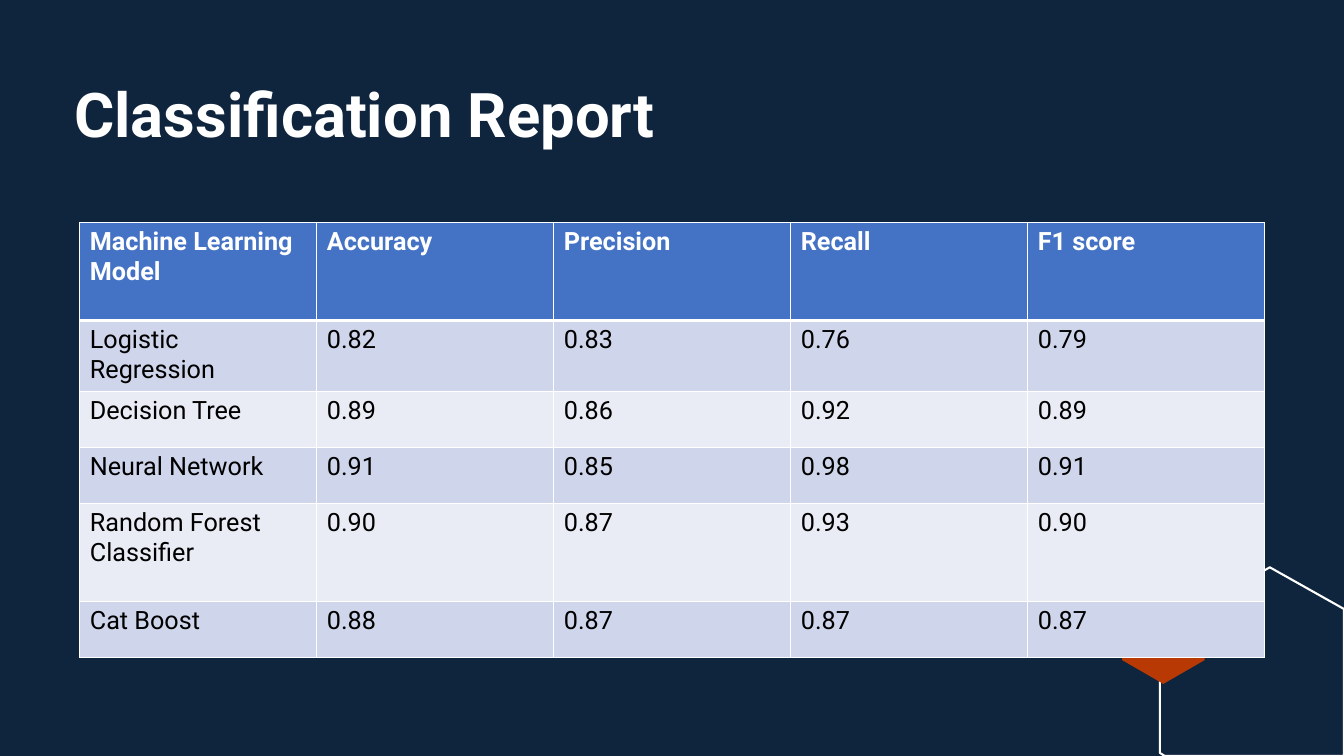
import pptx
import pptx.util
import pptx.dml.color
import pptx.enum.text
import pptx.oxml.ns
import lxml.etree

Pt = pptx.util.Pt
RGBColor = pptx.dml.color.RGBColor

TITLE = "Classification Report"
ROWS = [
    ("Machine Learning Model", "Accuracy", "Precision", "Recall", "F1 score"),
    ("Logistic Regression", "0.82", "0.83", "0.76", "0.79"),
    ("Decision Tree", "0.89", "0.86", "0.92", "0.89"),
    ("Neural Network", "0.91", "0.85", "0.98", "0.91"),
    ("Random Forest Classifier", "0.90", "0.87", "0.93", "0.90"),
    ("Cat Boost", "0.88", "0.87", "0.87", "0.87"),
]
HEIGHTS = (70, 40, 40, 40, 70, 40)
COLUMN = 169.3
FRAME = [(907, 405.2), (960, 435), (960, 540), (832, 540), (828.5, 537.8), (828.5, 450)]
HEX = [(831, 421), (860.5, 438), (860.5, 471.5), (831, 488.5), (801.5, 471.5), (801.5, 438)]

NAVY = RGBColor(0x0F, 0x25, 0x3E)
WHITE = RGBColor(0xFF, 0xFF, 0xFF)
BLACK = RGBColor(0, 0, 0)
RUST = RGBColor(0xB8, 0x39, 0x03)
BLUE = RGBColor(0x44, 0x72, 0xC4)
BANDS = (RGBColor(0xE9, 0xEB, 0xF5), RGBColor(0xCF, 0xD5, 0xEA))


def style(par, size, color, bold):
    for run in par.runs:
        font = run.font
        font.name = "Roboto"
        font.size = Pt(size)
        font.bold = bold
        font.color.rgb = color


def outline(slide, points):
    units = [(x * 100, y * 100) for x, y in points]
    pen = slide.shapes.build_freeform(*units[0], scale=Pt(1) / 100)
    pen.add_line_segments(units[1:], close=True)
    shape = pen.convert_to_shape()
    shape.shadow.inherit = False
    return shape


def border(cell, row):
    qn = pptx.oxml.ns.qn
    props = cell._tc.get_or_add_tcPr()
    widths = {"L": 1, "R": 1, "T": 3 if row == 1 else 1, "B": 3 if row == 0 else 1}
    for side, width in widths.items():
        line = lxml.etree.SubElement(props, qn("a:ln" + side), w=str(Pt(width)))
        fill = lxml.etree.SubElement(line, qn("a:solidFill"))
        lxml.etree.SubElement(fill, qn("a:srgbClr"), val=str(WHITE))


def add_grid(slide):
    count = len(ROWS[0])
    table = slide.shapes.add_table(
        len(ROWS), count, Pt(57), Pt(159), Pt(COLUMN * count), Pt(sum(HEIGHTS))
    ).table
    for column in table.columns:
        column.width = Pt(COLUMN)
    for row, (words, height) in enumerate(zip(ROWS, HEIGHTS)):
        table.rows[row].height = Pt(height)
        head = row == 0
        for col, word in enumerate(words):
            cell = table.cell(row, col)
            cell.text_frame.text = word
            style(cell.text_frame.paragraphs[0], 18, WHITE if head else BLACK, head)
            border(cell, row)
            cell.fill.solid()
            cell.fill.fore_color.rgb = BLUE if head else BANDS[row % 2]


def main():
    deck = pptx.Presentation()
    deck.slide_width, deck.slide_height = Pt(960), Pt(540)
    slide = deck.slides.add_slide(deck.slide_layouts[6])
    slide.background.fill.solid()
    slide.background.fill.fore_color.rgb = NAVY

    frame = outline(slide, FRAME)
    frame.fill.background()
    frame.line.color.rgb = WHITE
    frame.line.width = Pt(1.5)

    badge = outline(slide, HEX)
    badge.fill.solid()
    badge.fill.fore_color.rgb = RUST
    badge.line.fill.background()

    title = slide.shapes.add_textbox(Pt(46), Pt(57), Pt(857.5), Pt(111.5)).text_frame
    title.word_wrap = True
    title.vertical_anchor = pptx.enum.text.MSO_ANCHOR.TOP
    title.text = TITLE
    title.paragraphs[0].line_spacing = 0.9
    style(title.paragraphs[0], 44, WHITE, True)

    add_grid(slide)
    deck.save("out.pptx")


if __name__ == "__main__":
    main()
